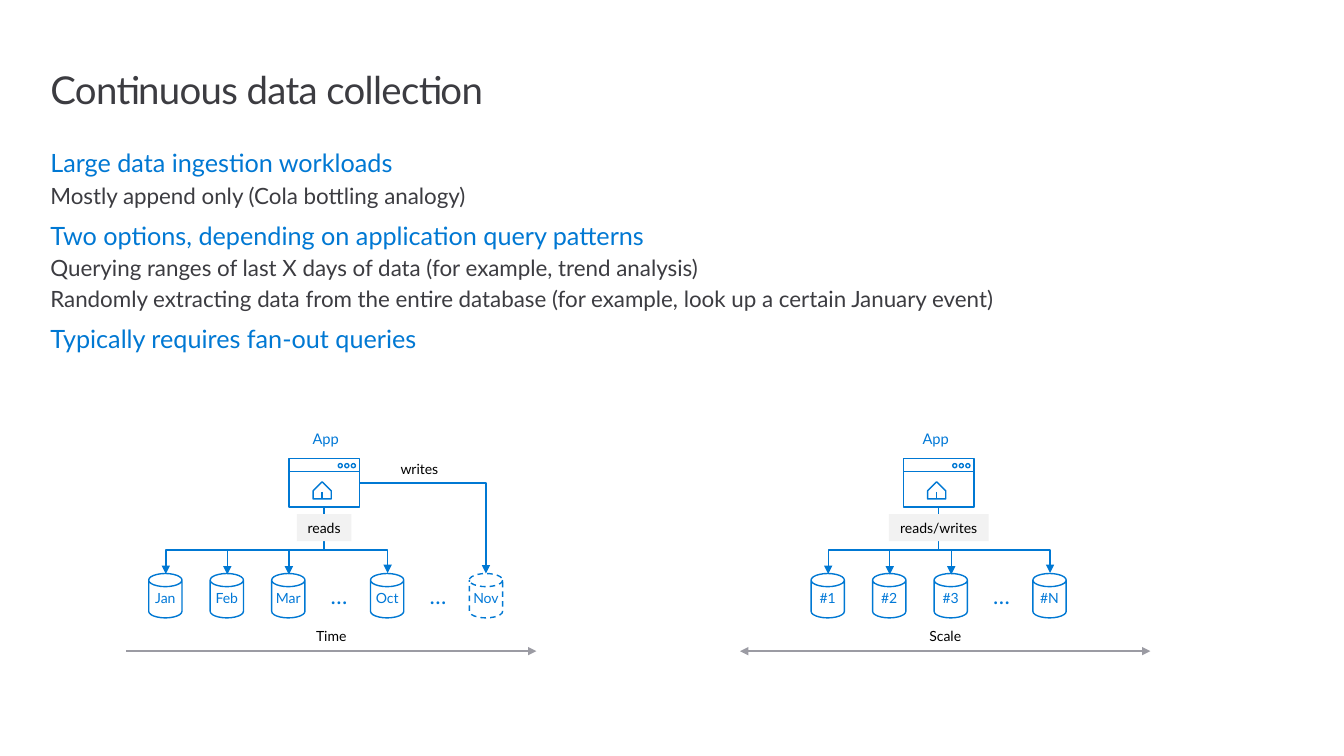
"""Build the slide on continuous data collection with its two sharding diagrams."""
from dataclasses import dataclass

from lxml.etree import SubElement
from pptx import Presentation
from pptx.dml.color import RGBColor as Rgb
from pptx.enum.dml import MSO_LINE_DASH_STYLE as Dash
from pptx.enum.shapes import MSO_CONNECTOR_TYPE as Link, MSO_SHAPE as Preset
from pptx.enum.text import MSO_ANCHOR as Anchor, PP_ALIGN as Align
from pptx.oxml.ns import qn
from pptx.shapes.autoshape import Shape
from pptx.shapes.connector import Connector
from pptx.shapes.shapetree import GroupShapes, SlideShapes
from pptx.text.text import Font, TextFrame
from pptx.util import Inches, Pt


@dataclass(frozen=True)
class Theme:
    """Hold the colours, type sizes and font."""
    font: str = "Lato"
    blue: Rgb = Rgb(0x00, 0x78, 0xD3)
    label_blue: Rgb = Rgb(0x00, 0x78, 0xD7)
    dark: Rgb = Rgb(0x3C, 0x3C, 0x41)
    black: Rgb = Rgb(0, 0, 0)
    grey: Rgb = Rgb(0x9B, 0x9B, 0xA3)
    pale: Rgb = Rgb(0xF2, 0xF2, 0xF2)
    title: float = 27.4
    heading: float = 18
    detail: float = 16
    app: float = 10.5
    label: float = 10


@dataclass(frozen=True)
class Diagram:
    """Describe one application and its row of databases."""
    bank_left: float
    window_left: float
    app_center: float
    axis_left: float
    axis_label: str
    call: str
    call_width: float
    databases: tuple[str, ...]
    two_way: bool = False
    new_database: str = ""


THEME = Theme()
OUTLINE = (
    (0, "Large data ingestion workloads"),
    (1, "Mostly append only (Cola bottling analogy)"),
    (0, "Two options, depending on application query patterns"),
    (1, "Querying ranges of last X days of data (for example, trend analysis)"),
    (1, "Randomly extracting data from the entire database "
        "(for example, look up a certain January event)"),
    (0, "Typically requires fan-out queries"),
)
DIAGRAMS = (
    Diagram(1.475, 2.865, 3.23, 1.25, "Time", "reads", 0.54,
            ("Jan", "Feb", "Mar", "Oct"), new_database="Nov"),
    Diagram(8.045, 8.96, 9.28, 7.34, "Scale", "reads/writes", 0.99,
            ("#1", "#2", "#3", "#N"), two_way=True),
)
CAN_OFFSETS = (0, 0.61, 1.22, 2.2)
NEW_CAN_OFFSET = 3.18
CAN_WIDTH, CAN_TOP, BUS_TOP = 0.33, 5.69, 5.45
WINDOW_WIDTH, WINDOW_TOP, WINDOW_HEIGHT = 0.7, 4.55, 0.48
AXIS_TOP, AXIS_WIDTH = 6.46, 4.07


def set_text(frame: TextFrame, text: str, size: float, color: Rgb) -> None:
    """Write one centred line into a text frame."""
    frame.text = text
    para = frame.paragraphs[0]
    para.alignment = Align.CENTER
    style(para.runs[0].font, size, color)


def style(font: Font, size: float, color: Rgb) -> None:
    """Give a font its face, size and colour."""
    font.name = THEME.font
    font.size = Pt(size)
    font.color.rgb = color


def add_label(shapes: SlideShapes, center: float, top: float, width: float, height: float,
              text: str, size: float = THEME.label, color: Rgb = THEME.black) -> Shape:
    """Add a text box centred on a horizontal position."""
    box = shapes.add_textbox(Inches(center - width / 2), Inches(top), Inches(width), Inches(height))
    box.text_frame.word_wrap = False
    set_text(box.text_frame, text, size, color)
    return box


def outline(shape: Shape) -> Shape:
    """Leave a shape empty with a thin blue outline."""
    shape.shadow.inherit = False
    shape.fill.background()
    shape.line.color.rgb = THEME.blue
    shape.line.width = Pt(1)
    return shape


def add_line(shapes: SlideShapes | GroupShapes, x1: float, y1: float, x2: float, y2: float,
             color: Rgb = THEME.blue, ends: tuple[str, ...] = (),
             kind: Link = Link.STRAIGHT) -> Connector:
    """Add a connector with optional arrowheads."""
    line = shapes.add_connector(kind, Inches(x1), Inches(y1), Inches(x2), Inches(y2))
    line.line.color.rgb = color
    line.line.width = Pt(1)
    for end in ends:
        SubElement(line.line._get_or_add_ln(), qn(f"a:{end}"), type="triangle")
    SubElement(line.element.spPr, qn("a:effectLst"))
    return line


def add_bus(shapes: SlideShapes, left: float, right: float) -> None:
    """Join the first and last database with a raised elbow line."""
    center, half, drop = (left + right) / 2, (right - left) / 2, 0.01
    bus = add_line(shapes, center + drop / 2, CAN_TOP + half, center - drop / 2, CAN_TOP - half,
                   ends=("headEnd", "tailEnd"), kind=Link.ELBOW)
    bus.rotation = 90
    guides = bus.element.spPr.find(qn("a:prstGeom")).find(qn("a:avLst"))
    ratio = round((CAN_TOP - BUS_TOP) / drop * 100000)
    SubElement(guides, qn("a:gd"), name="adj1", fmla=f"val {ratio}")


def add_can(shapes: SlideShapes, left: float, name: str) -> Shape:
    """Add one labelled database."""
    can = outline(shapes.add_shape(Preset.CAN, Inches(left), Inches(CAN_TOP),
                                   Inches(CAN_WIDTH), Inches(0.44)))
    can.adjustments[0] = 0.395
    frame = can.text_frame
    frame.margin_left = frame.margin_right = 0
    frame.margin_top = frame.margin_bottom = Inches(0.16)
    frame.vertical_anchor = Anchor.MIDDLE
    set_text(frame, name, THEME.label, THEME.label_blue)
    frame.paragraphs[0].line_spacing = 0.9
    return can


def add_window(shapes: SlideShapes, left: float) -> None:
    """Add the grouped application window with its house icon."""
    parts = shapes.add_group_shape().shapes
    outline(parts.add_shape(Preset.RECTANGLE, Inches(left), Inches(WINDOW_TOP),
                            Inches(WINDOW_WIDTH), Inches(WINDOW_HEIGHT)))
    add_line(parts, left + WINDOW_WIDTH, 4.68, left, 4.68)
    for index in range(3):
        outline(parts.add_shape(Preset.OVAL, Inches(left + 0.49 + index * 0.065), Inches(4.6),
                                Inches(0.04), Inches(0.04)))
    x1, x2, x3 = (Inches(left + offset) for offset in (0.24, 0.33, 0.42))
    base, eaves, ridge = Inches(4.95), Inches(4.87), Inches(4.78)
    house = parts.build_freeform(x1, base)
    house.add_line_segments([(x1, eaves), (x2, ridge), (x3, eaves), (x3, base)], close=True)
    outline(house.convert_to_shape())
    add_line(parts, left + 0.33, 4.88, left + 0.33, 4.95)


def add_diagram(shapes: SlideShapes, diagram: Diagram) -> None:
    """Draw an application, its databases and the axis below."""
    lefts = [diagram.bank_left + offset for offset in CAN_OFFSETS]
    centers = [left + CAN_WIDTH / 2 + 0.005 for left in lefts]
    stem = diagram.window_left + WINDOW_WIDTH / 2
    add_label(shapes, diagram.app_center, 4.25, 0.6, 0.21, "App", THEME.app,
              THEME.label_blue).text_frame.vertical_anchor = Anchor.MIDDLE
    for left, name in zip(lefts, diagram.databases):
        add_can(shapes, left, name)
    gaps = [1.88]
    if diagram.new_database:
        gaps.append(2.86)
        new_left = diagram.bank_left + NEW_CAN_OFFSET
        add_can(shapes, new_left, diagram.new_database).line.dash_style = Dash.DASH
        write = add_line(shapes, diagram.window_left + WINDOW_WIDTH, 4.79,
                         new_left + CAN_WIDTH / 2, CAN_TOP, ends=("tailEnd",), kind=Link.ELBOW)
        write.element.spPr.find(qn("a:prstGeom")).set("prst", "bentConnector2")
        add_label(shapes, 4.16, 4.52, 0.68, 0.27, "writes")
    for gap in gaps:
        dots = add_label(shapes, diagram.bank_left + gap, 5.73, 0.15, 0.37, "…",
                         THEME.detail, THEME.label_blue)
        dots.text_frame.margin_left = dots.text_frame.margin_right = 0
    add_bus(shapes, centers[0], centers[-1])
    for center in centers[1:-1]:
        add_line(shapes, center, BUS_TOP, center, CAN_TOP + 0.01, ends=("tailEnd",))
    add_line(shapes, stem, BUS_TOP, stem, WINDOW_TOP + WINDOW_HEIGHT)
    add_window(shapes, diagram.window_left)
    call = add_label(shapes, stem, 5.1, diagram.call_width, 0.27, diagram.call)
    call.fill.solid()
    call.fill.fore_color.rgb = THEME.pale
    add_label(shapes, diagram.axis_left + AXIS_WIDTH / 2, 6.18, 0.59, 0.27, diagram.axis_label)
    ends = ("headEnd", "tailEnd") if diagram.two_way else ("tailEnd",)
    add_line(shapes, diagram.axis_left, AXIS_TOP, diagram.axis_left + AXIS_WIDTH, AXIS_TOP,
             THEME.grey, ends)


def add_heading_text(shapes: SlideShapes) -> None:
    """Add the title and the two-level outline."""
    title = shapes.add_textbox(Inches(0.5), Inches(0.61), Inches(12.36), Inches(0.89)).text_frame
    title.word_wrap = True
    title.margin_left, title.margin_right = 0, Inches(0.16)
    title.margin_top = title.margin_bottom = Inches(0.1)
    title.text = "Continuous data collection"
    title.paragraphs[0].line_spacing = 0.9
    span = title.paragraphs[0].runs[0]
    style(span.font, THEME.title, THEME.dark)
    span.font._element.set("spc", "-45")
    body = shapes.add_textbox(Inches(0.5), Inches(1.52), Inches(12.36), Inches(1.68)).text_frame
    body.word_wrap = True
    body.margin_left = body.margin_right = body.margin_top = body.margin_bottom = 0
    body.text = "\n".join(text for _, text in OUTLINE)
    for index, (para, (level, _)) in enumerate(zip(body.paragraphs, OUTLINE)):
        para.level = level
        para._p.get_or_add_pPr().set("marL", "0")
        para.line_spacing = Pt(17.65)
        para.space_before = Pt((4.5 if level else 11.8) if index else 0)
        size, color = (THEME.detail, THEME.dark) if level else (THEME.heading, THEME.blue)
        style(para.runs[0].font, size, color)


def main() -> None:
    """Build and save the deck."""
    deck = Presentation()
    deck.slide_width, deck.slide_height = Inches(13.33), Inches(7.5)
    page = deck.slides.add_slide(deck.slide_layouts[6])
    add_heading_text(page.shapes)
    for diagram in DIAGRAMS:
        add_diagram(page.shapes, diagram)
    deck.save("out.pptx")


if __name__ == "__main__":
    main()
